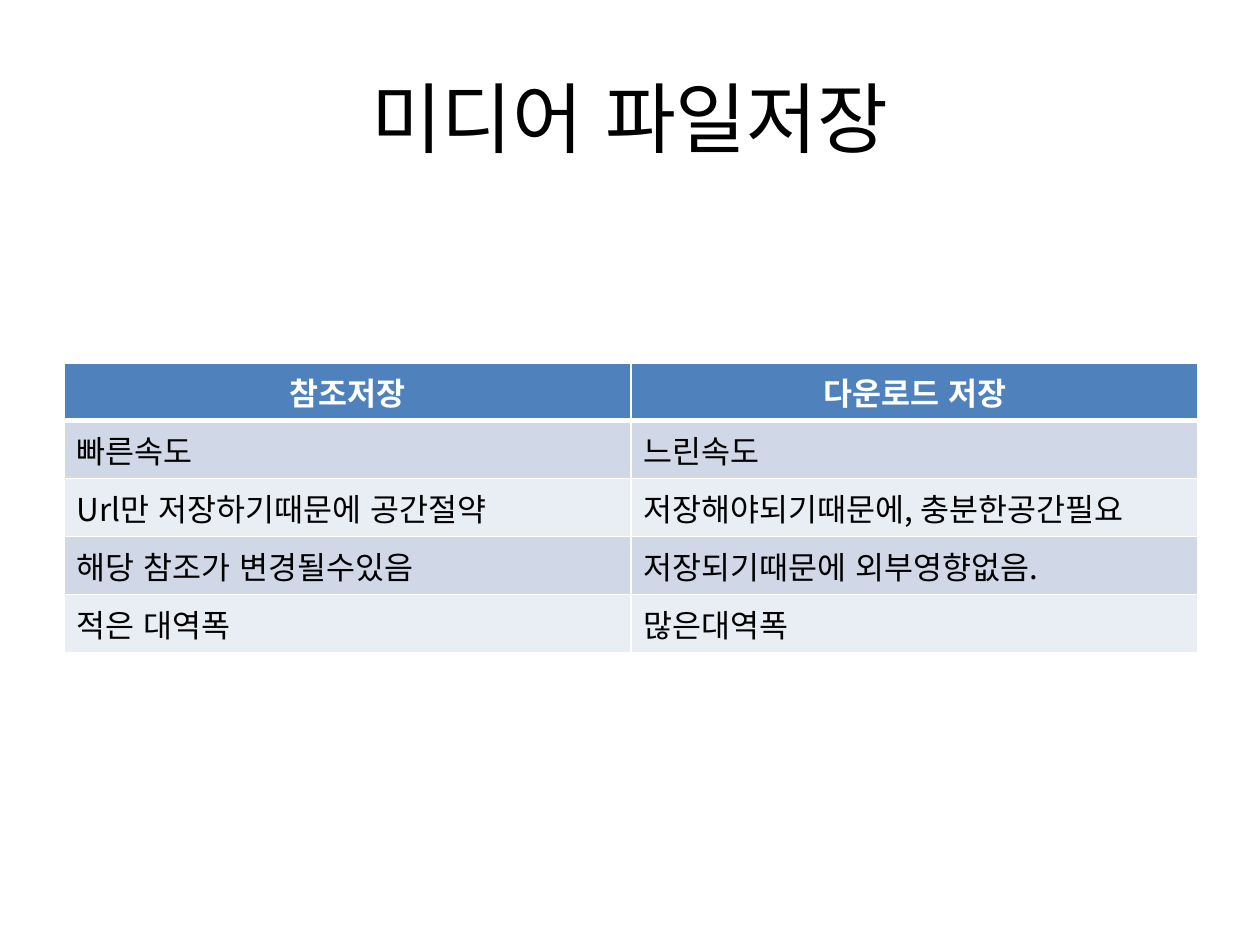
from dataclasses import dataclass

from lxml import etree
from pptx import Presentation
from pptx import util as u
from pptx.dml.color import RGBColor
from pptx.enum import lang, text
from pptx.oxml import ns


@dataclass(frozen=True)
class Theme:
    font: str = "Noto Sans CJK KR"
    title_size: int = 44
    table_size: int = 18
    ink: str = "000000"
    white: str = "FFFFFF"
    header: str = "4F81BD"
    bands: tuple[str, str] = ("D0D8E8", "E9EDF4")


@dataclass(frozen=True)
class ComparisonRow:
    reference: str
    download: str


THEME = Theme()
ROW_HEIGHT = 0.46
ROWS = [
    ComparisonRow("참조저장", "다운로드 저장"),
    ComparisonRow("빠른속도", "느린속도"),
    ComparisonRow("Url만 저장하기때문에 공간절약", "저장해야되기때문에, 충분한공간필요"),
    ComparisonRow("해당 참조가 변경될수있음", "저장되기때문에 외부영향없음."),
    ComparisonRow("적은 대역폭", "많은대역폭"),
]


def add_run(paragraph, wording: str, size: int, color: str, bold: bool = False) -> None:
    run = paragraph.add_run()
    run.text = wording
    run.font.size = u.Pt(size)
    run.font.bold = bold
    run.font.name = THEME.font
    run.font.language_id = lang.MSO_LANGUAGE_ID.KOREAN
    run.font.color.rgb = RGBColor.from_string(color)
    # East Asian glyphs use their own typeface setting
    east_asian = etree.SubElement(run.font._element, ns.qn("a:ea"))
    east_asian.set("typeface", THEME.font)


def set_borders(cell, bottom_width: int) -> None:
    properties = cell._tc.get_or_add_tcPr()
    for side, width in (("L", 1), ("R", 1), ("T", 1), ("B", bottom_width)):
        line = etree.SubElement(properties, ns.qn(f"a:ln{side}"), w=str(u.Pt(width)))
        fill = etree.SubElement(line, ns.qn("a:solidFill"))
        etree.SubElement(fill, ns.qn("a:srgbClr"), val=THEME.white)


def fill_cell(cell, wording: str, row_index: int) -> None:
    is_header = row_index == 0
    set_borders(cell, 3 if is_header else 1)
    cell.fill.solid()
    background = THEME.header if is_header else THEME.bands[(row_index - 1) % 2]
    cell.fill.fore_color.rgb = RGBColor.from_string(background)
    paragraph = cell.text_frame.paragraphs[0]
    paragraph.alignment = text.PP_ALIGN.CENTER if is_header else text.PP_ALIGN.LEFT
    color = THEME.white if is_header else THEME.ink
    add_run(paragraph, wording, THEME.table_size, color, is_header)


presentation = Presentation()
presentation.slide_width = u.Inches(10)
presentation.slide_height = u.Inches(7.5)
slide = presentation.slides.add_slide(presentation.slide_layouts[6])

# Title
title = slide.shapes.add_textbox(u.Inches(0.5), u.Inches(0.3), u.Inches(9), u.Inches(1.25))
title.text_frame.word_wrap = True
title.text_frame.vertical_anchor = text.MSO_ANCHOR.MIDDLE
title_paragraph = title.text_frame.paragraphs[0]
title_paragraph.alignment = text.PP_ALIGN.CENTER
add_run(title_paragraph, "미디어 파일저장", THEME.title_size, THEME.ink)

# Comparison table
table = slide.shapes.add_table(
    len(ROWS), 2, u.Inches(0.51), u.Inches(2.88), u.Inches(9), u.Inches(ROW_HEIGHT * len(ROWS))
).table
for row_index, row in enumerate(ROWS):
    for column_index, wording in enumerate((row.reference, row.download)):
        fill_cell(table.cell(row_index, column_index), wording, row_index)

presentation.save("out.pptx")
